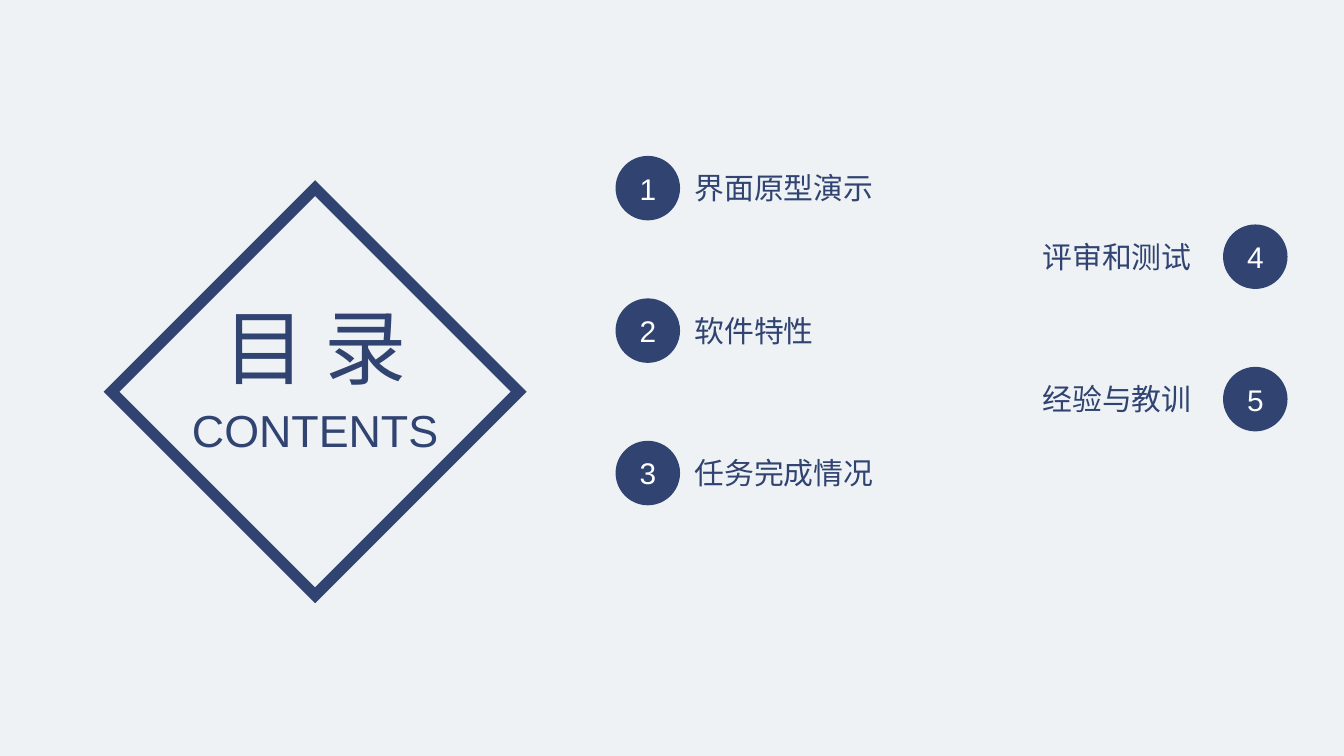
from dataclasses import dataclass

from lxml.etree import SubElement
from pptx import Presentation
from pptx.dml.color import RGBColor
from pptx.enum.shapes import MSO_SHAPE
from pptx.enum.text import MSO_ANCHOR, MSO_AUTO_SIZE, PP_ALIGN
from pptx.oxml.ns import qn
from pptx.util import Inches, Pt


@dataclass(frozen=True)
class Theme:
    back: RGBColor = RGBColor(0xEE, 0xF2, 0xF5)
    navy: RGBColor = RGBColor(0x30, 0x43, 0x71)
    white: RGBColor = RGBColor(0xFF, 0xFF, 0xFF)
    latin: str = "Arial"
    han: str = "Noto Sans CJK SC"
    title: int = 44
    sub: int = 24
    body: int = 16
    edge: int = 6


THEME = Theme()
WIDTH = Inches(10)
DOT = 0.48
PITCH = 1.06
LABEL_H = 0.37


def set_all(target, values):
    for name, value in values.items():
        setattr(target, name, value)


def write(shape, text, size, face, color, align):
    para = shape.text_frame.paragraphs[0]
    para.alignment = align
    run = para.add_run()
    run.text = text
    set_all(run.font, {"size": Pt(size), "name": face})
    run.font.color.rgb = color
    SubElement(run._r.get_or_add_rPr(), qn("a:ea"), typeface=face)


def add_text(slide, box, text, size, face, align=PP_ALIGN.LEFT):
    shape = slide.shapes.add_textbox(*map(Inches, box))
    set_all(shape.text_frame, {"word_wrap": False,
                               "auto_size": MSO_AUTO_SIZE.SHAPE_TO_FIT_TEXT})
    write(shape, text, size, face, THEME.navy, align)


def add_dot(slide, left, top, number):
    dot = slide.shapes.add_shape(MSO_SHAPE.OVAL, *map(Inches, (left, top, DOT, DOT)))
    dot.shadow.inherit = False
    dot.fill.solid()
    dot.fill.fore_color.rgb = THEME.navy
    dot.line.fill.background()
    set_all(dot.text_frame, {"vertical_anchor": MSO_ANCHOR.MIDDLE,
                             "margin_left": 0, "margin_right": 0})
    write(dot, str(number), THEME.body, THEME.latin, THEME.white, PP_ALIGN.CENTER)


def add_title(slide, left, top, side):
    """Place the diamond with both titles centred in it."""
    frame = slide.shapes.add_shape(MSO_SHAPE.DIAMOND,
                                   *map(Inches, (left, top, side, side)))
    frame.shadow.inherit = False
    frame.fill.background()
    frame.line.color.rgb = THEME.navy
    frame.line.width = Pt(THEME.edge)
    SubElement(frame.line._get_or_add_ln(), qn("a:miter"), lim="800000")
    titles = [
        ("目 录", THEME.title, THEME.han, 0.76, 1.6, 0.84),
        ("CONTENTS", THEME.sub, THEME.latin, 1.55, 2.03, 0.5),
    ]
    for text, size, face, drop, width, height in titles:
        box = (left + (side - width) / 2, top + drop, width, height)
        add_text(slide, box, text, size, face, PP_ALIGN.CENTER)


def add_items(slide, left, top, shift, first, labels):
    """Stack numbered dots; shift is the label's offset from its dot."""
    for row, label in enumerate(labels):
        y = top + row * PITCH
        width = len(label) * THEME.body / 72 + 0.2
        box = (left + shift, y + (DOT - LABEL_H) / 2, width, LABEL_H)
        add_text(slide, box, label, THEME.body, THEME.han)
        add_dot(slide, left, y, first + row)


def main():
    deck = Presentation()
    set_all(deck, {"slide_width": WIDTH, "slide_height": WIDTH * 9 // 16})
    slide = deck.slides.add_slide(deck.slide_layouts[6])
    slide.background.fill.solid()
    slide.background.fill.fore_color.rgb = THEME.back
    add_title(slide, 0.83, 1.4, 3.03)
    add_items(slide, 4.58, 1.16, 0.49, 1, ["界面原型演示", "软件特性", "任务完成情况"])
    add_items(slide, 9.1, 1.67, -1.44, 4, ["评审和测试", "经验与教训"])
    deck.save("out.pptx")


if __name__ == "__main__":
    main()
